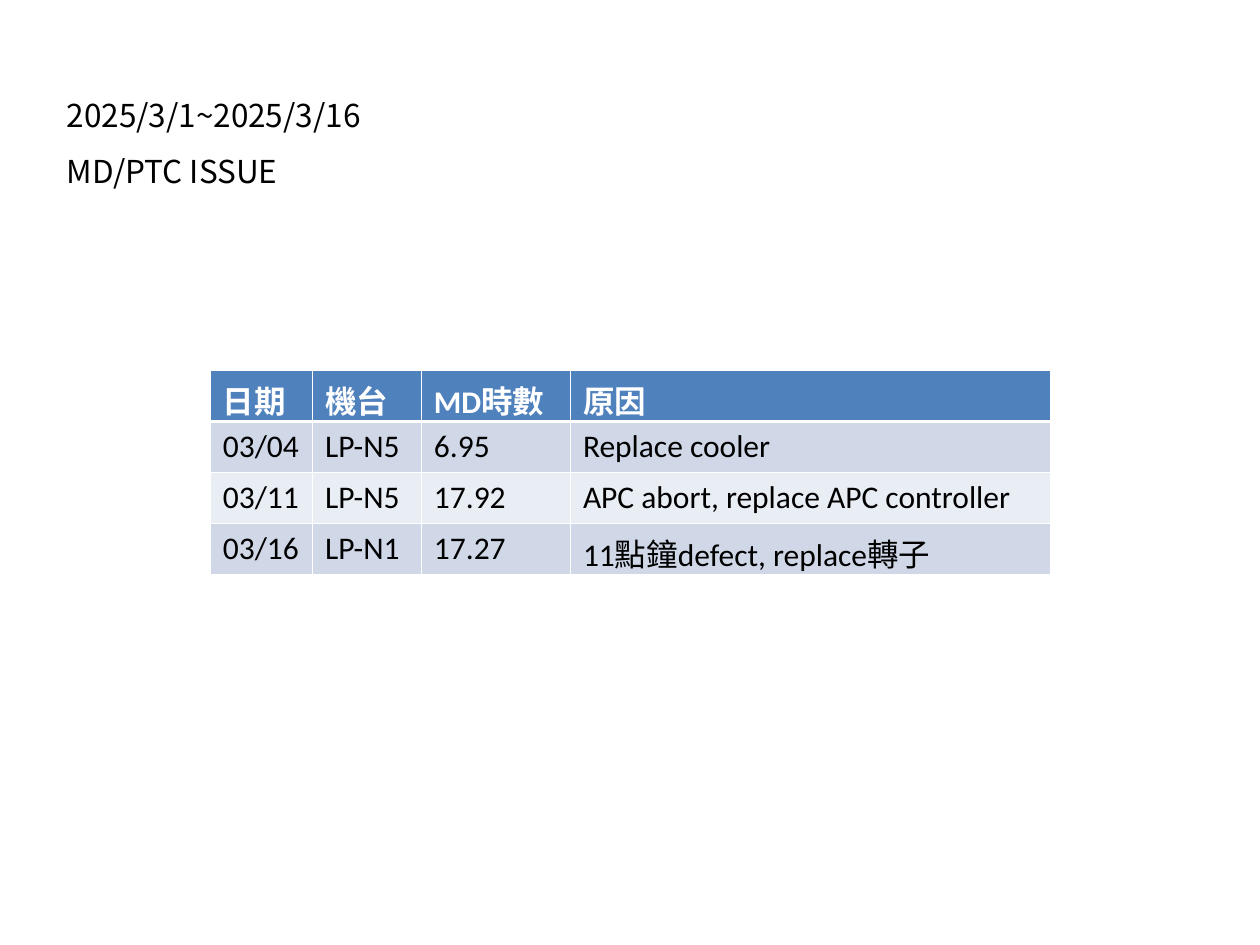
"""Build a one-slide report of MD/PTC machine issues for a two-week period."""
from dataclasses import dataclass

import lxml.etree
import pptx
import pptx.dml.color
import pptx.enum.text
import pptx.oxml.ns
import pptx.util

COLORS = {
    "text": "000000",
    "header_text": "FFFFFF",
    "header": "4F81BD",
    "odd_row": "D0D8E8",
    "even_row": "E9EDF4",
    "border": "FFFFFF",
}
HEADING_FONT = "Noto Sans CJK SC"
TABLE_FONT = "Calibri"
THIN, THICK = 0.45, 1.47
COLUMN_WIDTHS = (58.4, 62.2, 85.2, 274.4)
ROW_HEIGHT = 29.16


@dataclass(frozen=True)
class Issue:
    """One row of the issue table."""

    date: str
    machine: str
    hours: str
    cause: str

    def values(self) -> tuple[str, ...]:
        """Return the cell texts in column order."""
        return self.date, self.machine, self.hours, self.cause


HEADER = Issue("日期", "機台", "MD時數", "原因")
ISSUES = (
    Issue("03/04", "LP-N5", "6.95", "Replace cooler"),
    Issue("03/11", "LP-N5", "17.92", "APC abort, replace APC controller"),
    Issue("03/16", "LP-N1", "17.27", "11點鐘defect, replace轉子"),
)
HEADING = ("2025/3/1~2025/3/16", "MD/PTC ISSUE")


def rgb(name: str) -> pptx.dml.color.RGBColor:
    """Return the named colour."""
    return pptx.dml.color.RGBColor.from_string(COLORS[name])


def write(paragraph, text: str, typeface: str, color: str, bold: bool = False) -> None:
    """Add a formatted run to a paragraph."""
    run = paragraph.add_run()
    run.text = text
    formats = {"size": pptx.util.Pt(18), "name": typeface, "bold": bold}
    for attribute, value in formats.items():
        setattr(run.font, attribute, value)
    run.font.color.rgb = rgb(color)
    east_asian = lxml.etree.SubElement(run.font._element, pptx.oxml.ns.qn("a:ea"))
    east_asian.set("typeface", HEADING_FONT)


def add_heading(slide) -> None:
    """Add the period and the subject above the table."""
    bounds = map(pptx.util.Pt, (31, 40.3, 689, 72))
    frame = slide.shapes.add_textbox(*bounds).text_frame
    frame.word_wrap = True
    frame.auto_size = pptx.enum.text.MSO_AUTO_SIZE.SHAPE_TO_FIT_TEXT
    for index, line in enumerate(HEADING):
        paragraph = frame.add_paragraph() if index else frame.paragraphs[0]
        paragraph.line_spacing = 1.5
        write(paragraph, line, HEADING_FONT, "text")


def add_borders(cell, top: float, bottom: float) -> None:
    """Draw the four cell borders."""
    properties = cell._tc.get_or_add_tcPr()
    widths = {"lnL": THIN, "lnR": THIN, "lnT": top, "lnB": bottom}
    for side, width in widths.items():
        line = lxml.etree.SubElement(properties, pptx.oxml.ns.qn(f"a:{side}"))
        line.set("w", str(int(pptx.util.Pt(width))))
        fill = lxml.etree.SubElement(line, pptx.oxml.ns.qn("a:solidFill"))
        color = lxml.etree.SubElement(fill, pptx.oxml.ns.qn("a:srgbClr"))
        color.set("val", COLORS["border"])


def add_issue_table(slide) -> None:
    """Add the table of issues under its header row."""
    rows = (HEADER, *ISSUES)
    size = (sum(COLUMN_WIDTHS), ROW_HEIGHT * len(rows))
    bounds = map(pptx.util.Pt, (120.2, 211.7, *size))
    table = slide.shapes.add_table(len(rows), len(COLUMN_WIDTHS), *bounds).table
    for column, width in zip(table.columns, COLUMN_WIDTHS):
        column.width = pptx.util.Pt(width)
    for index, issue in enumerate(rows):
        is_header = index == 0
        table.rows[index].height = pptx.util.Pt(ROW_HEIGHT)
        band = "header" if is_header else "odd_row" if index % 2 else "even_row"
        color = "header_text" if is_header else "text"
        for cell, text in zip(table.rows[index].cells, issue.values()):
            add_borders(cell, THICK if index == 1 else THIN, THICK if is_header else THIN)
            cell.fill.solid()
            cell.fill.fore_color.rgb = rgb(band)
            write(cell.text_frame.paragraphs[0], text, TABLE_FONT, color, is_header)


def main() -> None:
    """Build and save the slide."""
    presentation = pptx.Presentation()
    presentation.slide_width = pptx.util.Pt(720)
    presentation.slide_height = pptx.util.Pt(540)
    slide = presentation.slides.add_slide(presentation.slide_layouts[6])
    add_heading(slide)
    add_issue_table(slide)
    presentation.save("out.pptx")


if __name__ == "__main__":
    main()
